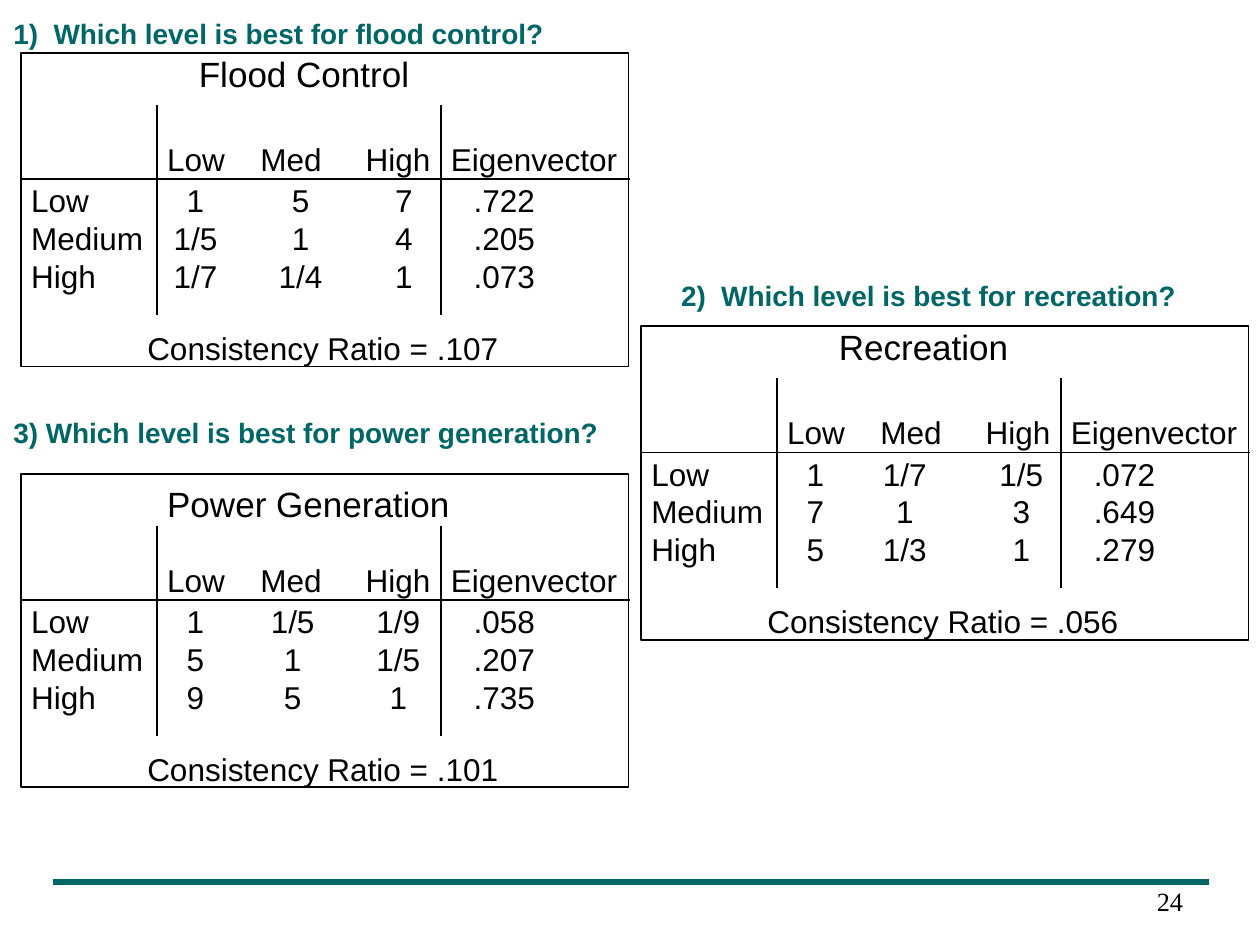
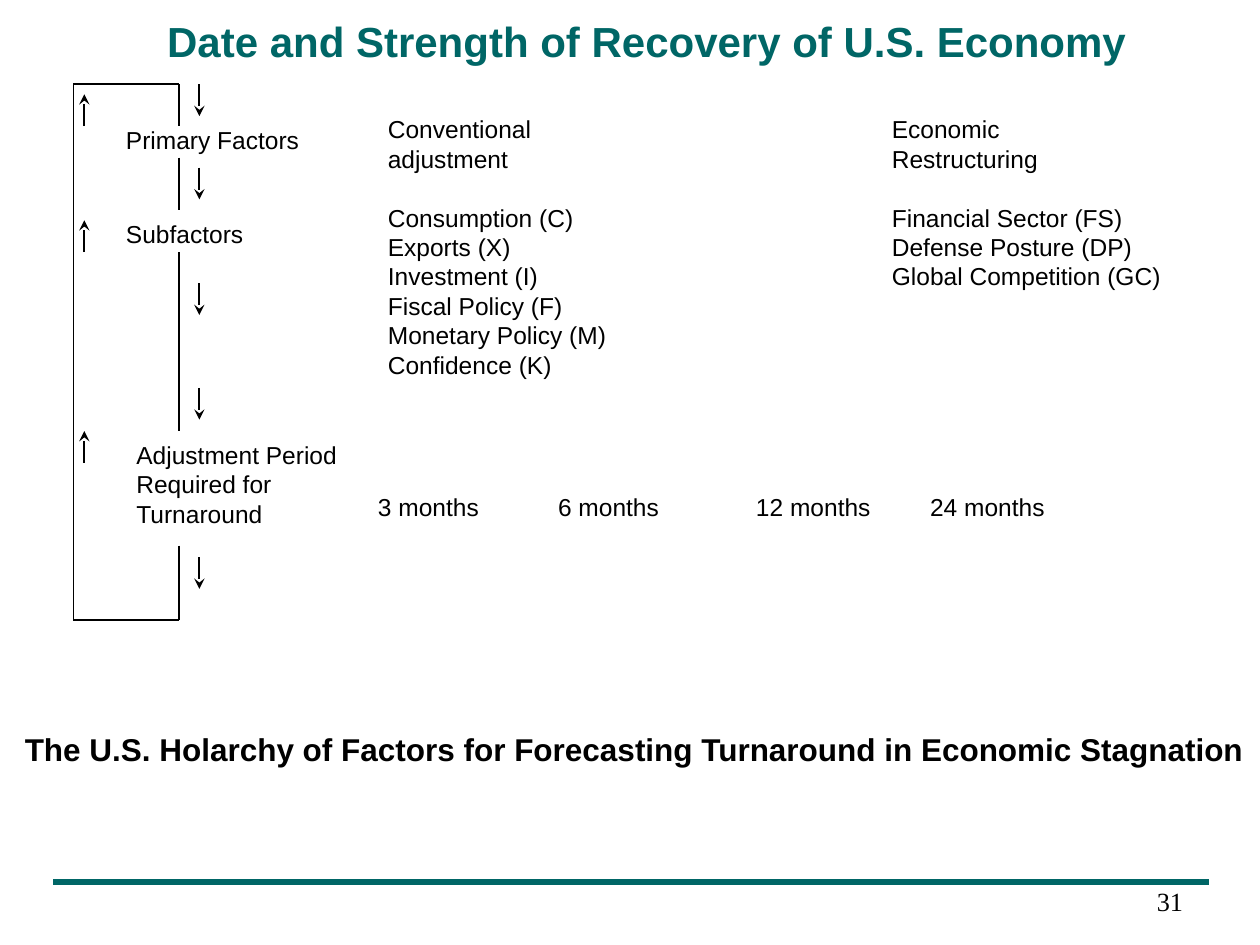
import pptx
import pptx.util
import pptx.dml.color
import pptx.enum.shapes
import pptx.enum.text
import pptx.oxml
import pptx.oxml.ns
from pptx.util import Cm, Pt

TEAL, BLACK = "006666", "000000"
SANS, SERIF = "Arial", "Times New Roman"
ALIGN = pptx.enum.text.PP_ALIGN
ANCHOR = pptx.enum.text.MSO_ANCHOR
NS = pptx.oxml.ns.nsdecls("a")


def color(code):
    return pptx.dml.color.RGBColor.from_string(code)


def set_tabs(para, stops):
    """Add tab stops, given as (cm, "l" or "ctr")."""
    marks = "".join(f'<a:tab pos="{Cm(pos)}" algn="{kind}"/>' for pos, kind in stops)
    tabs = pptx.oxml.parse_xml(f"<a:tabLst {NS}>{marks}</a:tabLst>")
    para._p.get_or_add_pPr().append(tabs)


def add_text(slide, x, y, w, h, text, size, ink=BLACK, bold=False, font=SANS, stops=()):
    box = slide.shapes.add_textbox(Cm(x), Cm(y), Cm(w), Cm(h))
    frame = box.text_frame
    frame.word_wrap = False
    frame.auto_size = pptx.enum.text.MSO_AUTO_SIZE.SHAPE_TO_FIT_TEXT
    frame.text = text
    for para in frame.paragraphs:
        if stops:
            set_tabs(para, stops)
        for run in para.runs:
            run.font.name = font
            run.font.size = Pt(size)
            run.font.bold = bold
            run.font.color.rgb = color(ink)
    return frame


def add_line(slide, x1, y1, x2, y2, ink=BLACK, width=1, arrow=False):
    line = slide.shapes.add_connector(
        pptx.enum.shapes.MSO_CONNECTOR.STRAIGHT, Cm(x1), Cm(y1), Cm(x2), Cm(y2))
    line.line.color.rgb = color(ink)
    line.line.width = Pt(width)
    if arrow:
        tip = pptx.oxml.parse_xml(f'<a:tailEnd {NS} type="stealth"/>')
        line.line._get_or_add_ln().append(tip)
    line._element.spPr.append(pptx.oxml.parse_xml(f"<a:effectLst {NS}/>"))


def new_slide(deck, number):
    """Blank slide with the shared footer rule and page number."""
    slide = deck.slides.add_slide(deck.slide_layouts[6])
    add_line(slide, 1.07, 17.78, 24.38, 17.78, TEAL, 4)
    frame = add_text(slide, 18.26, 17.27, 5.87, 1.78, str(number), 15, font=SERIF)
    frame.auto_size = pptx.enum.text.MSO_AUTO_SIZE.NONE
    frame.word_wrap = True
    frame.vertical_anchor = ANCHOR.MIDDLE
    frame.margin_left = frame.margin_right = Cm(0.28)
    frame.paragraphs[0].alignment = ALIGN.RIGHT
    return slide


def add_panel(slide, x, y, ask, title, rows, ratio, mid, far):
    """Comparison matrix; ask and title are (dx, dy, width, text)."""
    dx, dy, w, text = ask
    add_text(slide, x + dx, y + dy, w, 0.94, text, 16, TEAL, True, stops=[(0.81, "l")])

    # Frame and rules
    frame = slide.shapes.add_shape(
        pptx.enum.shapes.MSO_SHAPE.RECTANGLE, Cm(x), Cm(y), Cm(12.24), Cm(6.32))
    frame.shadow.inherit = False
    frame.fill.background()
    frame.line.color.rgb = color(BLACK)
    frame.line.width = Pt(1)
    add_line(slide, x, y + 2.54, x + 12.27, y + 2.54)
    for rule in (2.74, 8.46):
        add_line(slide, x + rule, y + 1.05, x + rule, y + 5.28)

    # Headings
    dx, dy, w, text = title
    add_text(slide, x + dx, y + dy, w, 1.09, text, 20)
    add_text(slide, x + 2.69, y + 1.63, 5.82, 1.02, "Low\tMed\tHigh", 18,
             stops=[(1.88, "l"), (4, "l")])
    add_text(slide, x + 8.41, y + 1.63, 3.86, 1.02, "Eigenvector", 18)
    add_text(slide, x - 0.05, y + 2.46, 2.77, 2.54, "Low\nMedium\nHigh", 18)

    # Judgments and result
    body = "\n".join("\t" + "\t".join(row.split()) for row in rows)
    add_text(slide, x + 2.69, y + 2.46, 7.92, 2.54, body, 18,
             stops=[(0.57, "ctr"), (mid, "ctr"), (far, "ctr"), (6.18, "l")])
    add_text(slide, x + 2.29, y + 5.44, 7.59, 1.02, f"Consistency Ratio = {ratio}", 18)


def levels(deck):
    slide = new_slide(deck, 24)
    add_panel(slide, 0.43, 1.07,
              (-0.41, -0.86, 11.2, "1)\tWhich level is best for flood control?"),
              (3.33, -0.13, 4.75, "Flood Control"),
              ["1 5 7 .722", "1/5 1 4 .205", "1/7 1/4 1 .073"], ".107", 2.69, 4.77)
    add_panel(slide, 12.93, 6.58,
              (0.55, -1.09, 10.5, "2)\tWhich level is best for recreation?"),
              (3.73, -0.15, 3.94, "Recreation"),
              ["1 1/7 1/5 .072", "7 1 3 .649", "5 1/3 1 .279"], ".056", 2.37, 4.72)
    add_panel(slide, 0.43, 9.55,
              (-0.41, -1.3, 12.32, "3) Which level is best for power generation?"),
              (2.69, 0.05, 6.22, "Power Generation"),
              ["1 1/5 1/9 .058", "5 1 1/5 .207", "9 5 1 .735"], ".101", 2.53, 4.66)


def add_loop(slide, x, y):
    """Feedback loop with its three stages and flow arrows."""
    wide, tall, size = 2.13, 10.8, 0.64
    for edge in (0, tall):
        add_line(slide, x, y + edge, x + wide, y + edge)
    add_line(slide, x, y, x, y + tall)
    for top, end in ((0, 0.84), (1.48, 2.54), (3.38, 6.99), (9.3, tall)):
        add_line(slide, x + wide, y + top, x + wide, y + end)
    for top in (0.2, 2.74, 6.99):
        add_line(slide, x + 0.22, y + top + size, x + 0.22, y + top, arrow=True)
    for top in (0, 1.68, 4.01, 6.12, 9.53):
        add_line(slide, x + 2.54, y + top, x + 2.54, y + top + size, arrow=True)
    for dx, dy, w, h, text in (
            (0.81, 0.69, 4.01, 0.84, "Primary Factors"),
            (0.81, 2.59, 2.87, 0.84, "Subfactors"),
            (1.02, 7.04, 4.57, 2.03, "Adjustment Period\nRequired for\nTurnaround")):
        add_text(slide, x + dx, y + dy, w, h, text, 14)


def add_factors(slide, x, y):
    """Two columns of factors above the row of periods."""
    rows = ["Conventional\tEconomic", "adjustment\tRestructuring",
            "Consumption (C)\tFinancial Sector (FS)",
            "Exports (X)\tDefense Posture (DP)",
            "Investment (I)\tGlobal Competition (GC)",
            "Fiscal Policy (F)", "Monetary Policy (M)", "Confidence (K)"]
    frame = add_text(slide, x, y, 16.1, 5.59, "\n".join(rows), 14, stops=[(10.16, "l")])
    frame.paragraphs[2].space_before = Pt(16.8)

    # Periods, in a box with room to spare on the right
    frame = add_text(slide, x - 0.2, y + 7.62, 14.6, 0.84,
                     "3 months\t6 months\t12 months\t24 months", 14,
                     stops=[(3.63, "l"), (7.62, "l"), (11.13, "l")])
    frame.word_wrap = True


def recovery(deck):
    slide = new_slide(deck, 31)
    add_text(slide, 3.12, 0.18, 19.84, 1.27,
             "Date and Strength of Recovery of U.S. Economy", 24, TEAL, True)
    add_loop(slide, 1.48, 1.7)
    add_factors(slide, 7.57, 2.18)
    add_text(slide, 0.25, 14.6, 25.15, 1.02,
             "The U.S. Holarchy of Factors for Forecasting Turnaround in Economic Stagnation",
             18, bold=True)


def main():
    deck = pptx.Presentation()
    deck.slide_width, deck.slide_height = Cm(25.4), Cm(19.05)
    levels(deck)
    recovery(deck)
    deck.save("out.pptx")


if __name__ == "__main__":
    main()
